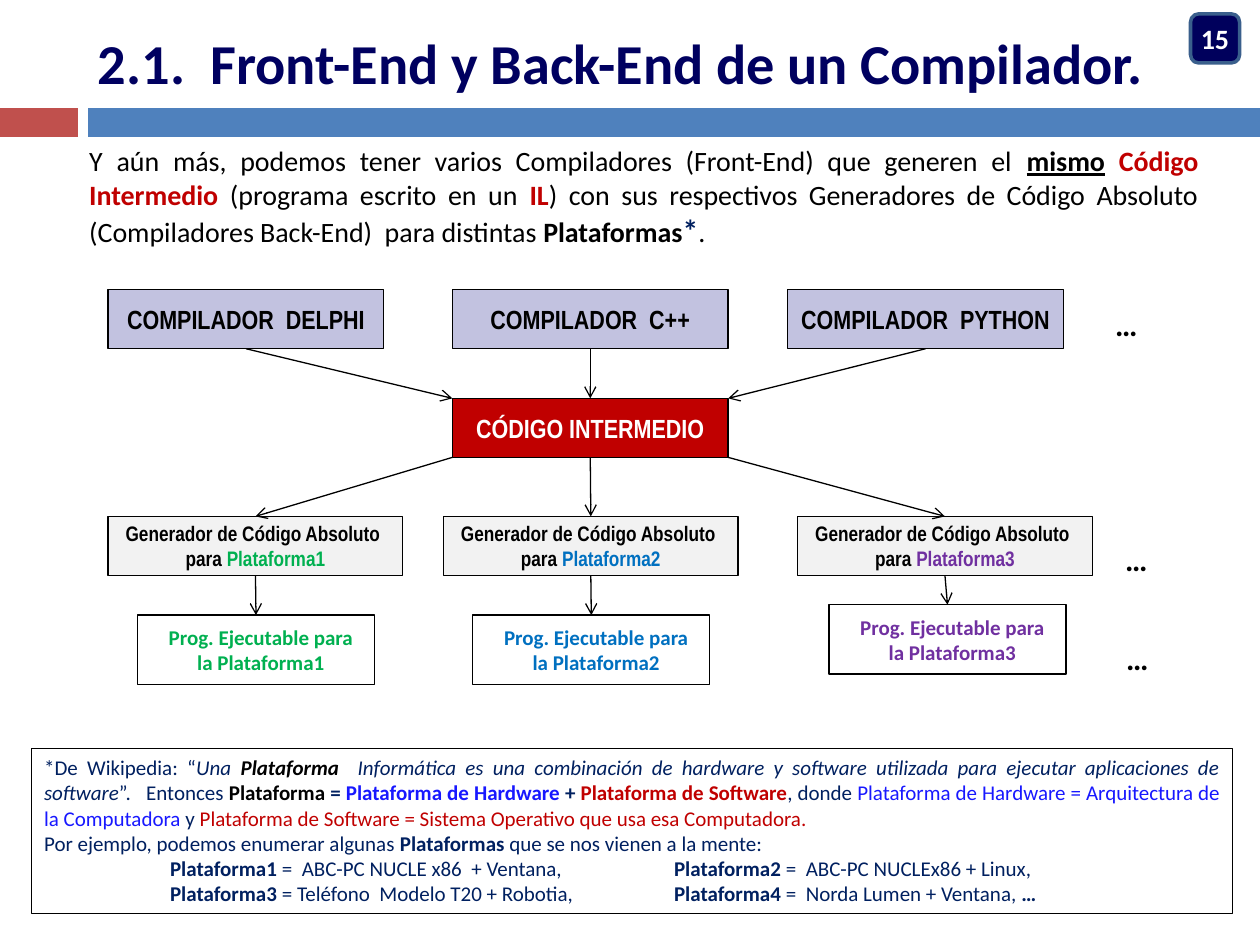
from lxml.etree import SubElement
from pptx import Presentation
from pptx.dml.color import RGBColor
from pptx.enum.shapes import MSO_CONNECTOR, MSO_SHAPE
from pptx.enum.text import MSO_ANCHOR, PP_ALIGN
from pptx.oxml.ns import qn
from pptx.util import Cm, Pt

COLORS = {
    "black": "000000", "white": "FFFFFF", "red": "C00000", "navy": "002060",
    "title": "000060", "blue": "1818FF", "lilac": "C2C2E0", "gray": "F2F2F2",
    "band": "4F81BD", "band_end": "C0504D", "badge": "00005C", "badge_line": "3A5F8C",
    "plat1": "00B050", "plat2": "0070C0", "plat3": "7030A0",
}


def rgb(name):
    return RGBColor.from_string(COLORS[name])


def write(s, paragraphs, size, font="Calibri", align=PP_ALIGN.CENTER,
          anchor=MSO_ANCHOR.MIDDLE, insets=None, wrap=True):
    """Fill a shape; each run is (text, colour, flags from 'biu', optional size)."""
    tf = s.text_frame
    tf.word_wrap = wrap
    tf.vertical_anchor = anchor
    if insets:
        tf.margin_left, tf.margin_top, tf.margin_right, tf.margin_bottom = map(Cm, insets)
    for i, runs in enumerate(paragraphs):
        p = tf.add_paragraph() if i else tf.paragraphs[0]
        p.alignment = align
        for text, color, flags, *own_size in runs:
            r = p.add_run()
            r.text = text
            r.font.name = font
            r.font.size = Pt(own_size[0] if own_size else size)
            r.font.color.rgb = rgb(color)
            r.font.bold = "b" in flags
            r.font.italic = "i" in flags
            r.font.underline = "u" in flags


def add_box(slide, box, fill=None, line=None, width=0.75, kind=MSO_SHAPE.RECTANGLE):
    s = slide.shapes.add_shape(kind, *map(Cm, box))
    s.shadow.inherit = False
    if fill:
        s.fill.solid()
        s.fill.fore_color.rgb = rgb(fill)
    else:
        s.fill.background()
    if line:
        s.line.color.rgb = rgb(line)
        s.line.width = Pt(width)
    else:
        s.line.fill.background()
    return s


def add_text(slide, box, paragraphs, size, **options):
    s = slide.shapes.add_textbox(*map(Cm, box))
    write(s, paragraphs, size, **options)


def add_node(slide, box, fill, paragraphs, size, font="Arial Narrow", left=0):
    s = add_box(slide, box, fill, "black")
    write(s, paragraphs, size, font, insets=(left, 0, 0, 0))
    return s


def add_arrow(slide, start, end, start_at=0.5, end_at=0.5):
    """Arrow from the bottom edge of start to the top edge of end."""
    c = slide.shapes.add_connector(
        MSO_CONNECTOR.STRAIGHT,
        int(start.left + start.width * start_at), start.top + start.height,
        int(end.left + end.width * end_at), end.top)
    c.line.color.rgb = rgb("black")
    c.line.width = Pt(0.75)
    SubElement(c.line._get_or_add_ln(), qn("a:tailEnd"), type="arrow")
    SubElement(c._element.spPr, qn("a:effectLst"))


def add_tabs(p, *stops):
    tabs = SubElement(p._p.get_or_add_pPr(), qn("a:tabLst"))
    for stop in stops:
        SubElement(tabs, qn("a:tab"), pos=str(Cm(stop)), algn="l")


def add_header(slide):
    add_box(slide, (0, 2.18, 1.57, 0.58), "band_end")
    add_box(slide, (1.78, 2.18, 23.62, 0.58), "band")
    add_text(slide, (0.58, 0.33, 24.21, 2.64),
             [[("2.1.  Front-End y Back-End de un Compilador.", "title", "b")]],
             32.2, insets=(0.25, 0, 0.6, 0.81))
    badge = add_box(slide, (24, 0.28, 0.99, 0.99), "badge", "badge_line", 2,
                    MSO_SHAPE.ROUNDED_RECTANGLE)
    write(badge, [[("15", "white", "b")]], 16, insets=(0, 0.13, 0, 0.13))


def add_intro(slide):
    add_text(slide, (1.55, 2.77, 22.86, 2.39), [[
        ("Y aún más, podemos tener varios Compiladores (Front-End) que generen el ", "black", ""),
        ("mismo", "black", "bu"), (" ", "red", ""), ("Código Intermedio", "red", "b"),
        (" (programa escrito en un ", "black", ""), ("IL", "red", "b"),
        (") con sus respectivos Generadores de Código Absoluto "
         "(Compiladores Back-End)  para distintas ", "black", ""),
        ("Plataformas", "black", "b"), ("*", "navy", "b", 18), (".", "black", ""),
    ]], 16, align=PP_ALIGN.JUSTIFY, anchor=MSO_ANCHOR.TOP)


def add_diagram(slide):
    code = add_node(slide, (9.12, 8.03, 5.56, 1.19), "red",
                    [[("CÓDIGO INTERMEDIO", "white", "b")]], 15)
    # One column per compiler, generator and executable
    columns = [("DELPHI", 2.18, 2.18, 2.77, 12.4),
               ("C++", 9.12, 8.94, 9.53, 12.4),
               ("PYTHON", 15.88, 16.08, 16.71, 12.19)]
    for i, (language, comp_x, gen_x, prog_x, prog_y) in enumerate(columns):
        name, color = f"Plataforma{i + 1}", f"plat{i + 1}"
        compiler = add_node(slide, (comp_x, 5.84, 5.56, 1.19), "lilac",
                            [[(f"COMPILADOR  {language}", "black", "b")]], 15)
        generator = add_node(slide, (gen_x, 10.41, 5.94, 1.19), "gray",
                             [[("Generador de Código Absoluto ", "black", "b")],
                              [("para ", "black", "b"), (name, color, "b")]], 12)
        program = add_node(slide, (prog_x, prog_y, 4.78, 1.4), None,
                           [[("Prog. Ejecutable para", color, "b")],
                            [(f"la {name}", color, "b")]], 12, "Calibri", 0.2)
        add_arrow(slide, compiler, code, end_at=i / 2)
        add_arrow(slide, code, generator, start_at=i / 2)
        add_arrow(slide, generator, program)
    # Each row goes on
    for x, y in [(22.23, 6.02), (22.43, 10.77), (22.45, 12.75)]:
        add_text(slide, (x, y, 1.14, 1.02), [[("…", "black", "b")]], 18,
                 align=PP_ALIGN.LEFT, anchor=MSO_ANCHOR.TOP, wrap=False)


def add_note(slide):
    s = add_box(slide, (0.64, 15.09, 24.21, 3.33), None, "black", 0.25)
    examples = [
        [("\tPlataforma1 ", "navy", "b"), ("=  ABC-PC NUCLE x86  + Ventana,\t", "navy", ""),
         ("Plataforma2 ", "navy", "b"), ("=  ABC-PC NUCLEx86 + Linux,", "navy", "")],
        [("\tPlataforma3 ", "navy", "b"), ("= Teléfono  Modelo T20 + Robotia,\t", "navy", ""),
         ("Plataforma4 ", "navy", "b"), ("=  Norda Lumen + Ventana, ", "navy", ""),
         ("…", "navy", "b")],
    ]
    write(s, [
        [("*De Wikipedia: “", "navy", ""), ("Una ", "navy", "i"), ("Plataforma", "black", "bi"),
         ("  Informática es una combinación de hardware y software utilizada "
          "para ejecutar aplicaciones de software", "navy", "i"),
         ("”.   Entonces ", "navy", ""), ("Plataforma", "black", "b"), (" = ", "navy", "b"),
         ("Plataforma de Hardware", "blue", "b"), (" + ", "navy", "b"),
         ("Plataforma de Software", "red", "b"), (", donde ", "navy", ""),
         ("Plataforma de Hardware = Arquitectura de la Computadora", "blue", ""),
         (" y ", "navy", ""),
         ("Plataforma de Software = Sistema Operativo que usa esa Computadora.", "red", "")],
        [("Por ejemplo, podemos enumerar algunas ", "navy", ""), ("Plataformas", "navy", "b"),
         (" que se nos vienen a la mente:", "navy", "")],
        *examples,
    ], 12, align=PP_ALIGN.JUSTIFY, anchor=MSO_ANCHOR.TOP)
    for p in s.text_frame.paragraphs[-len(examples):]:
        add_tabs(p, 2.54, 12.7)


def main():
    prs = Presentation()
    prs.slide_width, prs.slide_height = Cm(25.4), Cm(19.05)
    slide = prs.slides.add_slide(prs.slide_layouts[6])
    add_header(slide)
    add_intro(slide)
    add_diagram(slide)
    add_note(slide)
    prs.save("out.pptx")


if __name__ == "__main__":
    main()
